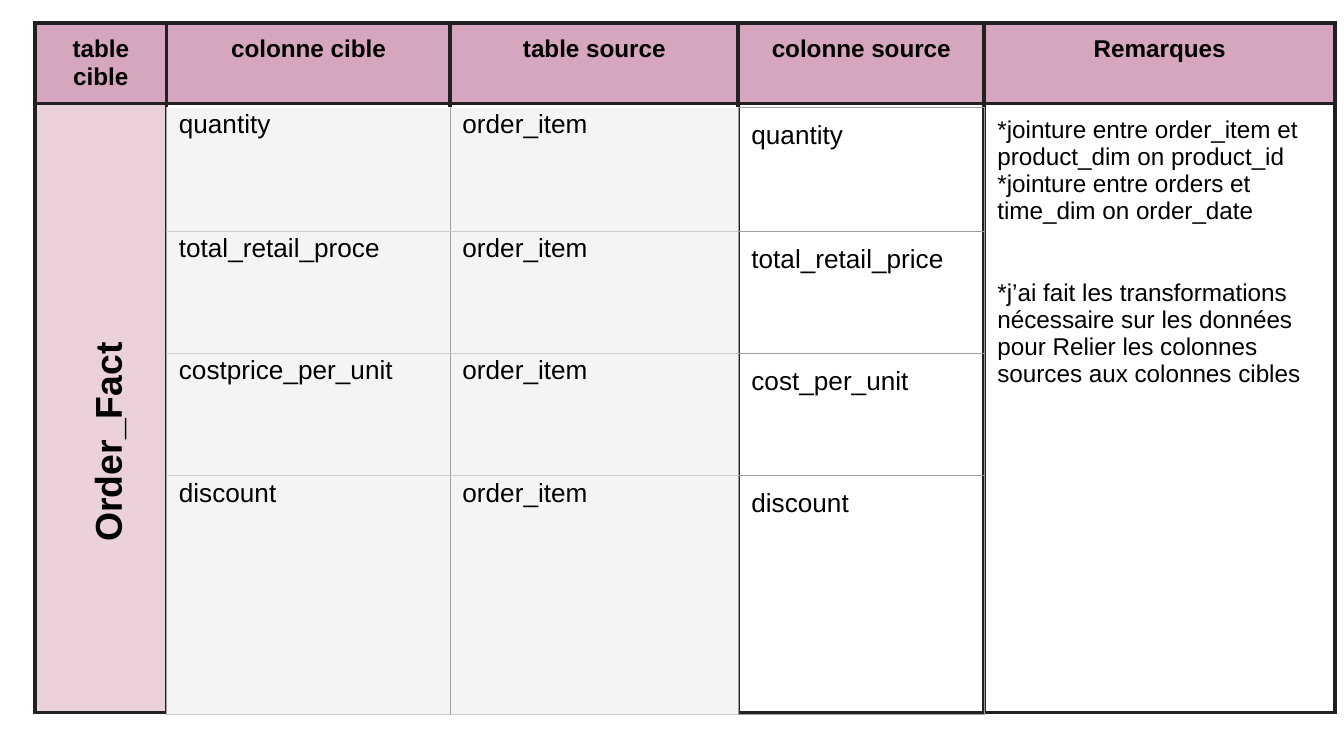
from lxml.etree import SubElement
from pptx import Presentation
from pptx.dml.color import RGBColor
from pptx.enum.text import PP_ALIGN
from pptx.oxml.ns import qn
from pptx.util import Cm, Pt

COLORS = {"black": "000000", "white": "FFFFFF", "frame": "212121", "header": "D5A6BD",
          "target": "EAD1DC", "cell": "F4F4F4", "side": "9E9E9E", "rule": "CCCCCC"}


def add_grid(slide, left, top, widths, heights):
    """Add an unbanded table with the given column widths and row heights in cm."""
    frame = slide.shapes.add_table(len(heights), len(widths), Cm(left), Cm(top),
                                   Cm(sum(widths)), Cm(sum(heights)))
    table = frame.table
    table.first_row = table.horz_banding = False
    for column, width in zip(table.columns, widths):
        column.width = Cm(width)
    for row, height in zip(table.rows, heights):
        row.height = Cm(height)
    return table


def format_cell(cell, lines, size, fill, borders, width, margins=(0.25, 0.25),
                bold=False, align=PP_ALIGN.LEFT):
    """Fill in a cell; borders are colour names for left, right, top and bottom."""
    cell.margin_left = cell.margin_right = Cm(margins[0])
    cell.margin_top = cell.margin_bottom = Cm(margins[1])
    cell.text = "\n".join(lines)
    for p in cell.text_frame.paragraphs:
        p.alignment = align
        p.font.name, p.font.size, p.font.bold = "Arial", Pt(size), bold
        p.font.color.rgb = RGBColor.from_string(COLORS["black"])
    if fill:
        cell.fill.solid()
        cell.fill.fore_color.rgb = RGBColor.from_string(COLORS[fill])
    else:
        cell.fill.background()
    tc_pr = cell._tc.get_or_add_tcPr()
    for i, (side, color) in enumerate(zip("LRTB", borders)):
        ln = SubElement(tc_pr, qn(f"a:ln{side}"), w=str(Pt(width)))
        SubElement(SubElement(ln, qn("a:solidFill")), qn("a:srgbClr"), val=COLORS[color])
        tc_pr.insert(i, ln)


prs = Presentation()
prs.slide_width, prs.slide_height = Cm(25.4), Cm(14.29)
s = prs.slides.add_slide(prs.slide_layouts[6])

# Outer table: headings above one tall row
headings = ["table cible", "colonne cible", "table source", "colonne source", "Remarques"]
remarks = [
    "*jointure entre order_item et product_dim on product_id",
    "*jointure entre orders et time_dim on order_date",
    "*j’ai fait les transformations nécessaire sur les données pour Relier les colonnes "
    "sources aux colonnes cibles",
]
widths = [2.49, 5.36, 5.44, 4.65, 6.63]
outer = add_grid(s, 0.66, 0.43, widths, [1.52, 11.51])
frame_borders = ["frame"] * 4
for col, heading in enumerate(headings):
    format_cell(outer.cell(0, col), [heading], 13, "header", frame_borders, 2.25,
                bold=True, align=PP_ALIGN.CENTER)
    format_cell(outer.cell(1, col), remarks if col == 4 else [], 13,
                "target" if col == 0 else None, frame_borders, 2.25)
outer.cell(1, 4).text_frame.paragraphs[2].space_before = Pt(29)

# Target table name, read upwards
sp = s.shapes.add_textbox(Cm(-1.42), Cm(6.35), Cm(6.91), Cm(1.37))
sp.rotation = 270
tf = sp.text_frame
tf.word_wrap = True
tf.margin_left = tf.margin_right = tf.margin_top = tf.margin_bottom = Cm(0.25)
p = tf.paragraphs[0]
p.text = "Order_Fact"
p.font.name, p.font.size, p.font.bold = "Arial", Pt(20), True
p.font.color.rgb = RGBColor.from_string(COLORS["black"])

# Column mapping over the three middle columns
mapping = [
    ("quantity", "order_item", "quantity"),
    ("total_retail_proce", "order_item", "total_retail_price"),
    ("costprice_per_unit", "order_item", "cost_per_unit"),
    ("discount", "order_item", "discount"),
]
inner = add_grid(s, 3.15, 2.03, widths[1:4], [2.34, 2.31, 2.31, 4.52])
for row, names in enumerate(mapping):
    for col, name in enumerate(names):
        cell = inner.cell(row, col)
        if col == 2:
            format_cell(cell, [name], 14, None, ["side"] * 4, 0.75)
        else:
            top_rule = "white" if row == 0 else "rule"
            format_cell(cell, [name], 14, "cell", ["side", "side", top_rule, "rule"], 0.75,
                        margins=(0.23, 0.05))

prs.save("out.pptx")
